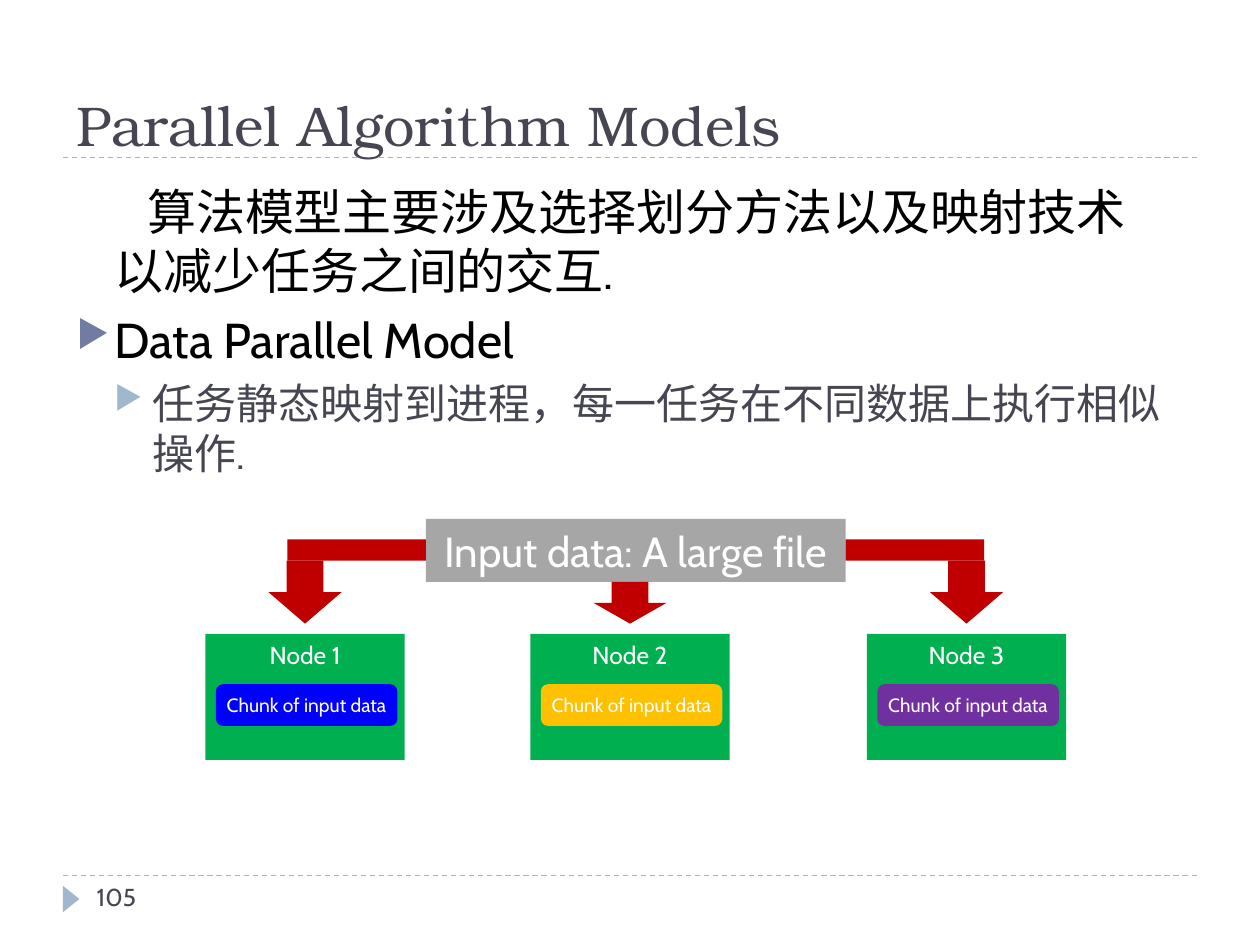
from dataclasses import dataclass

from lxml.etree import SubElement
from pptx import Presentation
from pptx.dml.color import RGBColor
from pptx.enum.dml import MSO_LINE
from pptx.enum.shapes import MSO_CONNECTOR, MSO_SHAPE
from pptx.enum.text import MSO_ANCHOR, PP_ALIGN
from pptx.oxml.ns import qn
from pptx.util import Pt


@dataclass(frozen=True)
class Theme:
    heading_font: str = "TeX Gyre Bonum"
    body_font: str = "Cabin"
    ink: str = "464653"
    black: str = "000000"
    white: str = "FFFFFF"
    pale_blue: str = "9FB8CD"
    slate_blue: str = "727CA3"
    grey: str = "A6A6A6"
    green: str = "00B050"
    red: str = "C00000"
    chunks: tuple = ("0000FF", "FFC000", "7030A0")
    title_size: int = 32
    lead_size: int = 28
    detail_size: int = 24
    label_size: int = 14
    chunk_size: int = 11


class SlideBuilder:
    """Draws styled elements on one slide, with lengths in points."""

    def __init__(self, page, theme):
        self.page = page
        self.theme = theme

    def style(self, paragraph, size, color, font=None):
        for span in paragraph.runs:
            span.font.name = font or self.theme.body_font
            span.font.size = Pt(size)
            span.font.color.rgb = RGBColor.from_string(color)

    def text_box(self, left, top, width, height, anchor=MSO_ANCHOR.TOP):
        box = self.page.shapes.add_textbox(Pt(left), Pt(top), Pt(width), Pt(height))
        box.text_frame.word_wrap = True
        box.text_frame.vertical_anchor = anchor
        return box.text_frame

    def label(self, frame, text, size, color, font=None):
        frame.text = text
        self.style(frame.paragraphs[0], size, color, font)

    def paragraph(self, paragraph, text, size, color, margin, indent, before=0):
        paragraph.text = text
        properties = paragraph._p.get_or_add_pPr()
        properties.set("marL", str(Pt(margin)))
        properties.set("indent", str(Pt(indent)))
        paragraph.space_before = Pt(before)
        self.style(paragraph, size, color)

    def bullet(self, paragraph, color):
        properties = paragraph._p.get_or_add_pPr()
        bullet_color = SubElement(properties, qn("a:buClr"))
        SubElement(bullet_color, qn("a:srgbClr"), val=color)
        SubElement(properties, qn("a:buSzPct"), val="76000")
        SubElement(properties, qn("a:buChar"), char="▶")

    def rule(self, top):
        line = self.page.shapes.add_connector(
            MSO_CONNECTOR.STRAIGHT, Pt(36), Pt(top), Pt(684), Pt(top))
        line.line.color.rgb = RGBColor.from_string(self.theme.pale_blue)
        line.line.width = Pt(0.75)
        line.line.dash_style = MSO_LINE.DASH
        SubElement(line._element.spPr, qn("a:effectLst"))

    def shape(self, kind, left, top, width, height, fill):
        box = self.page.shapes.add_shape(kind, Pt(left), Pt(top), Pt(width), Pt(height))
        box.shadow.inherit = False
        box.fill.solid()
        box.fill.fore_color.rgb = RGBColor.from_string(fill)
        box.line.fill.background()
        return box

    def labelled(self, box, text, size, anchor=MSO_ANCHOR.MIDDLE, side=7.2):
        frame = box.text_frame
        frame.word_wrap = True
        frame.vertical_anchor = anchor
        frame.margin_left = frame.margin_right = Pt(side)
        self.label(frame, text, size, self.theme.white)
        frame.paragraphs[0].alignment = PP_ALIGN.CENTER

    def node(self, left, number, chunk_color):
        box = self.shape(MSO_SHAPE.RECTANGLE, left, 362.2, 113.8, 72, self.theme.green)
        self.labelled(box, f"Node {number}", self.theme.label_size, MSO_ANCHOR.TOP)
        chunk = self.shape(
            MSO_SHAPE.ROUNDED_RECTANGLE, left + 6, 391, 103.7, 23.8, chunk_color)
        self.labelled(chunk, "Chunk of input data", self.theme.chunk_size, side=0)

    def arrow(self, node_left, top):
        self.shape(MSO_SHAPE.DOWN_ARROW, node_left + 36, top, 41.8, 356.4 - top,
                   self.theme.red)


def main():
    theme = Theme()
    deck = Presentation()
    deck.slide_width, deck.slide_height = Pt(720), Pt(540)
    slide = SlideBuilder(deck.slides.add_slide(deck.slide_layouts[6]), theme)

    for top in (500.4, 90):
        slide.rule(top)
    marker = slide.shape(
        MSO_SHAPE.ISOSCELES_TRIANGLE, 33.1, 509, 15.1, 9.4, theme.pale_blue)
    marker.rotation = 90

    title = slide.text_box(36.7, 25.9, 640.8, 67.7, MSO_ANCHOR.BOTTOM)
    slide.label(title, "Parallel Algorithm Models", theme.title_size, theme.ink,
                theme.heading_font)

    body = slide.text_box(36.7, 100.1, 635, 402.5)
    slide.paragraph(body.paragraphs[0],
                    "算法模型主要涉及选择划分方法以及映射技术以减少任务之间的交互.",
                    theme.lead_size, theme.black, 21.6, 18.7)
    model = body.add_paragraph()
    slide.paragraph(model, "Data Parallel Model", theme.lead_size, theme.black,
                    21.6, -21.6, 6)
    slide.bullet(model, theme.slate_blue)
    detail = body.add_paragraph()
    detail.level = 1
    slide.paragraph(detail, "任务静态映射到进程，每一任务在不同数据上执行相似操作.",
                    theme.detail_size, theme.ink, 43.2, -21.6, 5)
    slide.bullet(detail, theme.pale_blue)

    page_number = slide.text_box(48.2, 500.4, 156.2, 28.8)
    slide.label(page_number, "105", theme.label_size, theme.ink)

    source = slide.shape(MSO_SHAPE.RECTANGLE, 243.4, 296.6, 239.8, 36, theme.grey)
    slide.labelled(source, "Input data: A large file", theme.detail_size)
    for left in (164.2, 483.2):
        slide.shape(MSO_SHAPE.RECTANGLE, left, 308.2, 79.2, 12.2, theme.red)
    columns = zip((117.4, 303.1, 495.4), (320.4, 332.6, 320.4), theme.chunks)
    for number, (left, arrow_top, chunk_color) in enumerate(columns, 1):
        slide.node(left, number, chunk_color)
        slide.arrow(left, arrow_top)

    deck.save("out.pptx")


if __name__ == "__main__":
    main()
